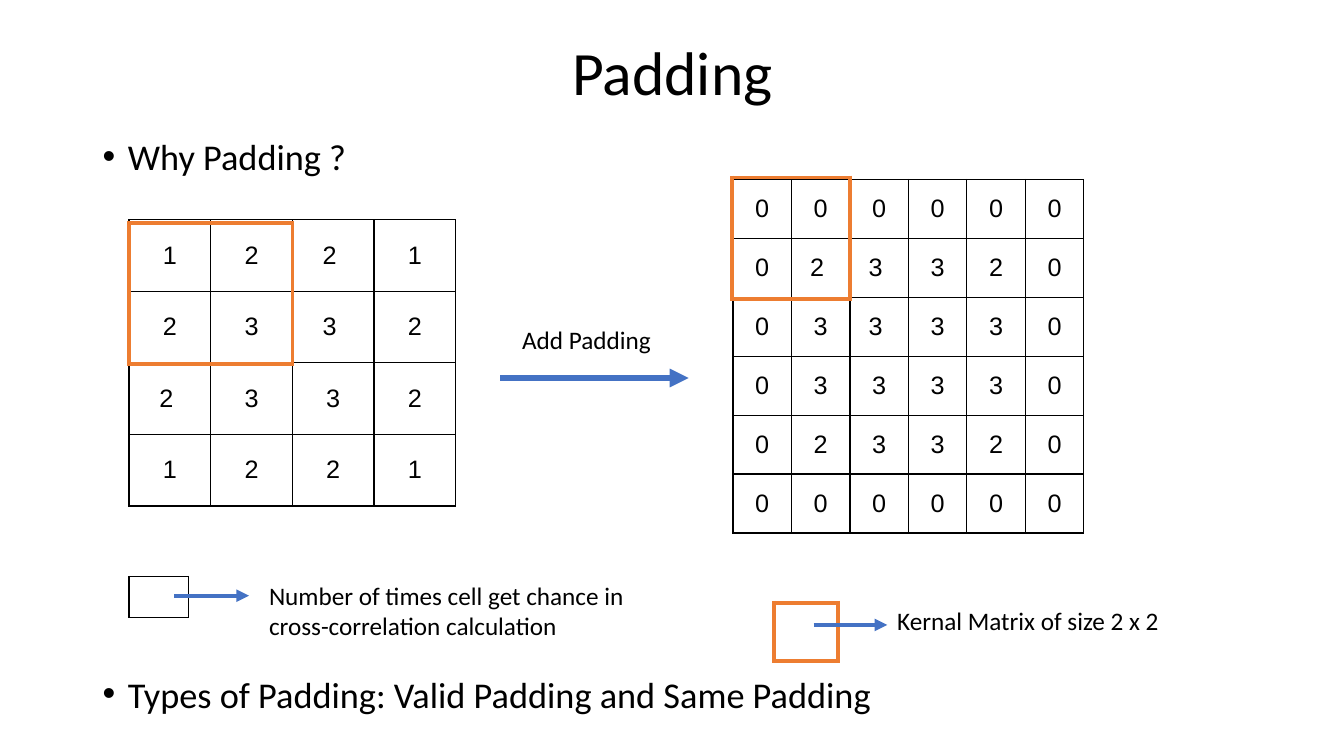
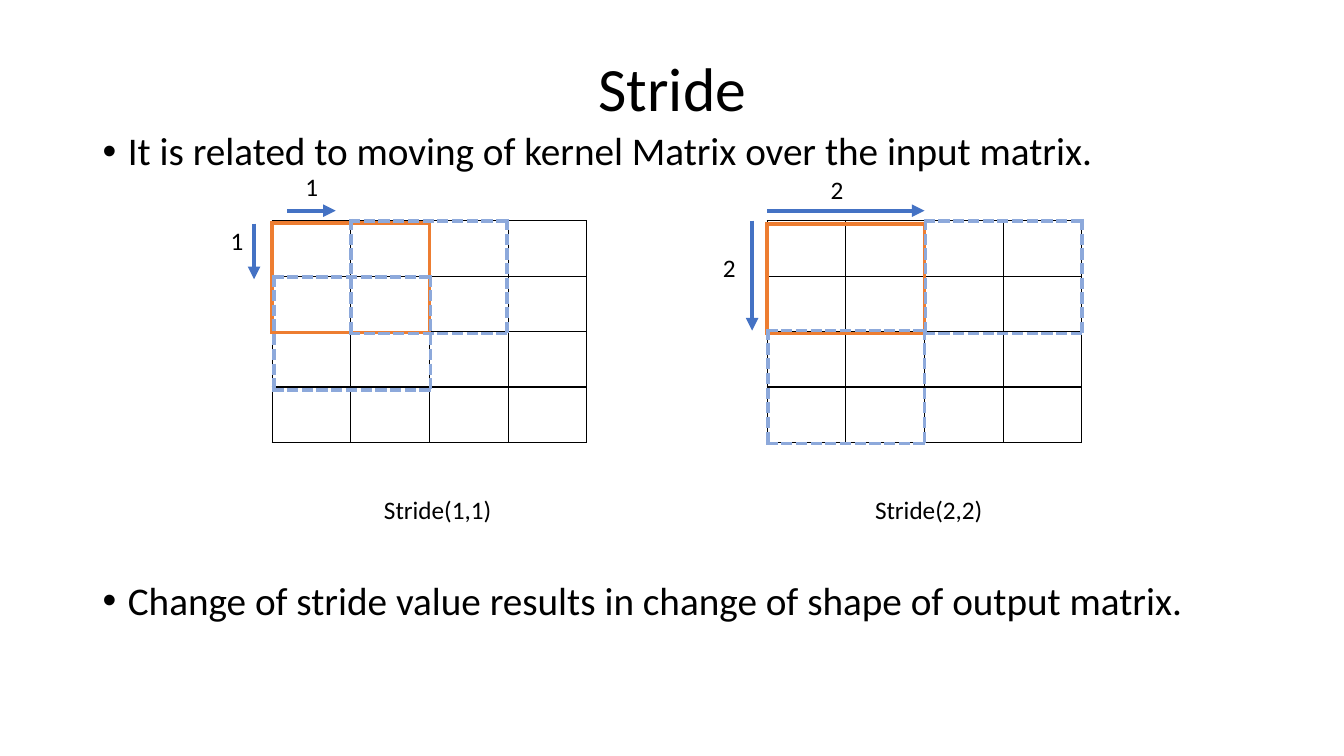
from lxml.etree import SubElement
from pptx import Presentation
from pptx.dml.color import RGBColor
from pptx.enum.shapes import MSO_CONNECTOR
from pptx.enum.text import MSO_ANCHOR, PP_ALIGN
from pptx.oxml import parse_xml
from pptx.oxml.ns import nsdecls, qn
from pptx.util import Inches, Pt

# Shared style
BLACK = RGBColor(0x00, 0x00, 0x00)
BLUE = RGBColor(0x44, 0x72, 0xC4)
LIGHT_BLUE = RGBColor(0x8D, 0xA9, 0xDB)
ORANGE = RGBColor(0xED, 0x7D, 0x31)
TEXT_FONT = "Calibri"
CELL_FONT = "Arial"
LABEL_SIZE = 18
FRAME_WIDTH = 3
CONTENT_LEFT, CONTENT_WIDTH = 0.92, 11.5

# Cell values: how often each cell is visited
VISITS = [["1", "2", "2 ", "1"],
          ["2", "3", "3 ", "2"],
          ["2 ", "3", "3", "2"],
          ["1", "2", "2", "1"]]
PADDED_VISITS = [list("000000"),
                 ["0", "2 ", "3 ", "3", "2", "0"],
                 ["0", "3", "3 ", "3", "3", "0"],
                 list("033330"),
                 list("023320"),
                 list("000000")]
EMPTY_CELL = [[""]]
EMPTY_GRID = [[""] * 4] * 4


def add_run(p, text, size, font=TEXT_FONT):
    r = p.add_run()
    r.text = text
    r.font.size = Pt(size)
    r.font.name = font
    r.font.color.rgb = BLACK


def add_text(s, text, x, y, w, h=0.4, size=LABEL_SIZE):
    tf = s.shapes.add_textbox(Inches(x), Inches(y), Inches(w), Inches(h)).text_frame
    tf.word_wrap = True
    add_run(tf.paragraphs[0], text, size)
    return tf


def add_title(s, text, y, h):
    tf = add_text(s, text, CONTENT_LEFT, y, CONTENT_WIDTH, h, 44)
    tf.vertical_anchor = MSO_ANCHOR.MIDDLE
    p = tf.paragraphs[0]
    p.alignment = PP_ALIGN.CENTER
    p.line_spacing = 0.9


def add_bullet(s, text, y, size, spacing):
    tf = add_text(s, text, CONTENT_LEFT, y, CONTENT_WIDTH, 0.5, size)
    p = tf.paragraphs[0]
    p.line_spacing = spacing
    pPr = p._p.get_or_add_pPr()
    pPr.set("marL", str(Inches(0.25)))
    pPr.set("indent", str(Inches(-0.25)))
    SubElement(pPr, qn("a:buFont"), typeface="Arial")
    SubElement(pPr, qn("a:buChar"), char="•")


def set_borders(cell, color, width, dash):
    tcPr = cell._tc.get_or_add_tcPr()
    for i, side in enumerate(("lnL", "lnR", "lnT", "lnB")):
        tcPr.insert(i, parse_xml(
            f'<a:{side} {nsdecls("a")} w="{Pt(width)}">'
            f'<a:solidFill><a:srgbClr val="{color}"/></a:solidFill>'
            f'<a:prstDash val="{dash}"/></a:{side}>'))


def add_grid(s, values, x, y, cell_w, cell_h, color=BLACK, width=1, dash="solid"):
    rows, cols = len(values), len(values[0])
    table = s.shapes.add_table(rows, cols, Inches(x), Inches(y),
                               Inches(cols * cell_w), Inches(rows * cell_h)).table
    table.first_row = table.horz_banding = False
    for col in table.columns:
        col.width = Inches(cell_w)
    for row, texts in zip(table.rows, values):
        row.height = Inches(cell_h)
        for cell, text in zip(row.cells, texts):
            cell.fill.background()
            cell.vertical_anchor = MSO_ANCHOR.MIDDLE
            set_borders(cell, color, width, dash)
            if text:
                p = cell.text_frame.paragraphs[0]
                p.alignment = PP_ALIGN.CENTER
                add_run(p, text, 18, CELL_FONT)


def add_kernel(s, x, y, w, h):
    add_grid(s, EMPTY_CELL, x, y, w, h, ORANGE, FRAME_WIDTH)


def add_moved_kernel(s, x, y):
    add_grid(s, EMPTY_CELL, x, y, 1.55, 1.12, LIGHT_BLUE, FRAME_WIDTH, "dash")


def add_arrow(s, x1, y1, x2, y2, width=3):
    line = s.shapes.add_connector(MSO_CONNECTOR.STRAIGHT, Inches(x1), Inches(y1),
                                  Inches(x2), Inches(y2))
    line.line.color.rgb = BLUE
    line.line.width = Pt(width)
    SubElement(line.line._get_or_add_ln(), qn("a:tailEnd"), type="triangle")
    SubElement(line._element.spPr, qn("a:effectLst"))


def build_padding(s):
    add_title(s, "Padding", 0.29, 0.91)
    add_bullet(s, "Why Padding ?", 1.37, 25.9, 0.8)
    add_bullet(s, "Types of Padding: Valid Padding and Same Padding", 6.7, 25.9, 0.8)

    # Input matrix and padded matrix, each with its kernel
    add_grid(s, VISITS, 1.28, 2.18, 0.81, 0.71)
    add_grid(s, PADDED_VISITS, 7.27, 1.78, 0.58, 0.585)
    add_kernel(s, 1.28, 2.21, 1.62, 1.4)
    add_kernel(s, 7.26, 1.76, 1.17, 1.21)
    add_arrow(s, 4.96, 3.75, 6.83, 3.75, 4.5)
    add_text(s, "Add Padding", 5.08, 3.17, 1.62)

    # Legend
    add_grid(s, EMPTY_CELL, 1.28, 5.72, 0.59, 0.41)
    add_arrow(s, 1.73, 5.91, 2.47, 5.91)
    add_text(s, "Number of times cell get chance in cross-correlation calculation",
             2.57, 5.71, 3.8, 0.71)
    add_kernel(s, 7.68, 5.98, 0.63, 0.58)
    add_arrow(s, 8.07, 6.2, 8.8, 6.2)
    add_text(s, "Kernal Matrix of size 2 x 2", 8.8, 5.96, 3.8)


def build_stride(s):
    add_title(s, "Stride", 0.4, 1.02)
    add_bullet(s, "It is related to moving of kernel Matrix over the input matrix.",
               1.26, 28, 0.9)
    add_bullet(s, "Change of stride value results in change of shape of output matrix.",
               5.72, 28, 0.9)

    # Input matrices with the kernel at its start
    for x, kernel_y, label, label_x in ((2.7, 2.21, "Stride(1,1)", 3.71),
                                        (7.61, 2.22, "Stride(2,2)", 8.58)):
        add_grid(s, EMPTY_GRID, x, 2.19, 0.78, 0.55)
        add_kernel(s, x, kernel_y, 1.56, 1.09)
        add_text(s, label, label_x, 4.86, 1.92)

    # Kernel after one step right or down
    for x, y in ((9.18, 2.19), (3.48, 2.19), (2.72, 2.75), (7.62, 3.28)):
        add_moved_kernel(s, x, y)

    # Step arrows and their lengths
    for ends in ((2.52, 2.22, 2.52, 2.77), (2.85, 2.09, 3.33, 2.09),
                 (7.46, 2.19, 7.46, 3.28), (7.61, 2.09, 9.17, 2.09)):
        add_arrow(s, *ends)
    for step, x, y in (("1", 2.93, 1.65), ("1", 2.19, 2.19),
                       ("2", 8.14, 1.68), ("2", 7.07, 2.45)):
        add_text(s, step, x, y, 0.35)


def main():
    prs = Presentation()
    prs.slide_width, prs.slide_height = Inches(13.33), Inches(7.5)
    for build in (build_padding, build_stride):
        build(prs.slides.add_slide(prs.slide_layouts[6]))
    prs.save("out.pptx")


if __name__ == "__main__":
    main()
